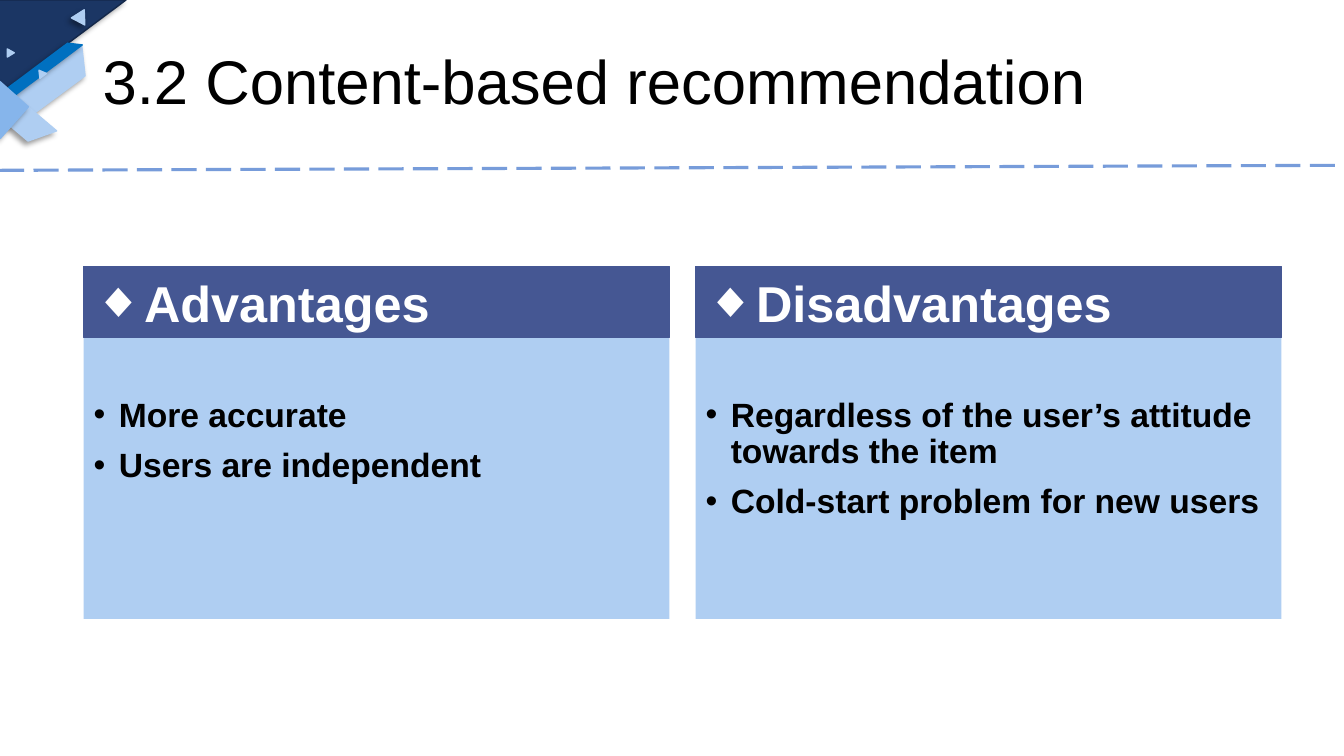
from lxml.etree import SubElement
from pptx import Presentation
from pptx.dml.color import RGBColor
from pptx.enum.dml import MSO_LINE
from pptx.enum.shapes import MSO_CONNECTOR, MSO_SHAPE
from pptx.enum.text import MSO_ANCHOR, PP_ALIGN
from pptx.oxml.ns import qn
from pptx.util import Inches, Pt

TITLE = "3.2 Content-based recommendation"
COLUMNS = [
    ("Advantages", ["More accurate", "Users are independent"]),
    ("Disadvantages", ["Regardless of the user’s attitude towards the item",
                       "Cold-start problem for new users"]),
]

THEME = {
    "font": "Arial",
    "title_size": 44, "heading_size": 36, "point_size": 24,
    "ink": "000000", "white": "FFFFFF", "heading": "455793",
    "pale": "AFCEF2", "sky": "86B5EB", "blue": "0070C0",
    "navy": "1B3664", "navy_edge": "14284A", "divider": "779CDA",
}

TRAPEZOID = MSO_SHAPE.TRAPEZOID
CORNER = MSO_SHAPE.RIGHT_TRIANGLE
CHIP = MSO_SHAPE.ISOSCELES_TRIANGLE
# preset, (left, top, width, height), rotation, fill, edge, format options
ORNAMENTS = [
    (TRAPEZOID, (0.03, 0.71, 0.95, 0.26), 143.6, "pale", "pale", {"slant": 0.58}),
    (CORNER, (-0.01, 0, 1.26, 0.94), 180, "navy", "navy_edge", {"flip": True}),
    (CHIP, (0.73, 0.09, 0.15, 0.13), 27.7, "pale", "pale", {}),
    (CHIP, (0.05, 0.5, 0.08, 0.07), 209, "pale", "pale", {"shadow": False}),
    (TRAPEZOID, (-0.07, 0.64, 0.95, 0.1), 323.2, "blue", "blue", {"slant": 1.05}),
    (CHIP, (0.37, 0.71, 0.08, 0.07), 203, "pale", "pale", {"shadow": False}),
    (TRAPEZOID, (-0.06, 1.07, 0.61, 0.26), 220.3, "pale", "pale", {"slant": 0.58}),
    (CORNER, (-0.19, 0.88, 0.38, 0.42), 221.6, "sky", "sky", {}),
]

COLUMN_LEFT, COLUMN_WIDTH, COLUMN_STEP = 0.83, 5.81, 6.07
HEADING_TOP, HEADING_HEIGHT, PANEL_HEIGHT = 2.64, 0.71, 2.79


def color(key):
    return RGBColor.from_string(THEME[key])


def add_filled(slide, preset, box, fill, edge=None, width=1):
    shape = slide.shapes.add_shape(preset, *map(Inches, box))
    shape.shadow.inherit = False
    shape.fill.solid()
    shape.fill.fore_color.rgb = color(fill)
    if edge:
        shape.line.color.rgb = color(edge)
        shape.line.width = Pt(width)
    else:
        shape.line.fill.background()
    return shape


def cast_shadow(shape):
    effects = shape._element.spPr.find(qn("a:effectLst"))
    shadow = SubElement(effects, qn("a:outerShdw"), blurRad=str(Pt(4)),
                        dist=str(Pt(3)), dir=str(135 * 60000), rotWithShape="0")
    black = SubElement(shadow, qn("a:srgbClr"), val=THEME["ink"])
    SubElement(black, qn("a:alpha"), val="40000")


def add_ornament(slide, preset, box, rotation, fill, edge, options):
    shape = add_filled(slide, preset, box, fill, edge)
    shape.rotation = rotation
    if "slant" in options:
        shape.adjustments[0] = options["slant"]
    if options.get("flip"):
        shape._element.spPr.xfrm.set("flipH", "1")
    if options.get("shadow", True):
        cast_shadow(shape)


def write(shape, lines, size, ink, bold=True, bullet=None, indent=0,
          frame_format=None, paragraph_format=None):
    frame = shape.text_frame
    for name, value in {"word_wrap": True, **(frame_format or {})}.items():
        setattr(frame, name, value)
    for index, line in enumerate(lines):
        paragraph = frame.paragraphs[0] if index == 0 else frame.add_paragraph()
        paragraph_values = {"alignment": PP_ALIGN.LEFT, **(paragraph_format or {})}
        for name, value in paragraph_values.items():
            setattr(paragraph, name, value)
        run = paragraph.add_run()
        run.text = line
        font_values = {"name": THEME["font"], "size": Pt(THEME[size]), "bold": bold}
        for name, value in font_values.items():
            setattr(run.font, name, value)
        run.font.color.rgb = color(ink)
        if bullet:
            properties = paragraph._p.get_or_add_pPr()
            properties.set("marL", str(Inches(indent)))
            properties.set("indent", str(-Inches(indent)))
            SubElement(properties, qn("a:buFont"), typeface=THEME["font"])
            SubElement(properties, qn("a:buChar"), char=bullet)


def add_divider(slide):
    divider = slide.shapes.add_connector(
        MSO_CONNECTOR.STRAIGHT, *map(Inches, (-0.01, 1.69, 13.33, 1.64)))
    divider.line.color.rgb = color("divider")
    divider.line.width = Pt(2.25)
    divider.line.dash_style = MSO_LINE.LONG_DASH
    SubElement(divider._element.spPr, qn("a:effectLst"))


def add_column(slide, index, heading, points):
    left = COLUMN_LEFT + index * COLUMN_STEP
    panel_top = HEADING_TOP + HEADING_HEIGHT
    panel = add_filled(slide, MSO_SHAPE.RECTANGLE,
                       (left, panel_top, COLUMN_WIDTH, PANEL_HEIGHT), "pale")
    write(panel, points, "point_size", "ink", bullet="•", indent=0.25,
          frame_format={"vertical_anchor": MSO_ANCHOR.TOP, "margin_top": Inches(0.6)},
          paragraph_format={"line_spacing": 0.9, "space_after": Pt(10)})
    banner = add_filled(slide, MSO_SHAPE.RECTANGLE,
                        (left, HEADING_TOP, COLUMN_WIDTH, HEADING_HEIGHT),
                        "heading", "heading", 0.75)
    write(banner, [heading], "heading_size", "white", bullet="◆", indent=0.5,
          frame_format={"vertical_anchor": MSO_ANCHOR.MIDDLE})


def main():
    deck = Presentation()
    deck.slide_width, deck.slide_height = Inches(13.33), Inches(7.5)
    slide = deck.slides.add_slide(deck.slide_layouts[6])
    for ornament in ORNAMENTS:
        add_ornament(slide, *ornament)
    add_divider(slide)
    title = slide.shapes.add_textbox(*map(Inches, (0.92, 0.11, 11.5, 1.45)))
    write(title, [TITLE], "title_size", "ink", bold=False,
          frame_format={"vertical_anchor": MSO_ANCHOR.MIDDLE},
          paragraph_format={"line_spacing": 0.9})
    for index, (heading, points) in enumerate(COLUMNS):
        add_column(slide, index, heading, points)
    deck.save("out.pptx")


if __name__ == "__main__":
    main()
